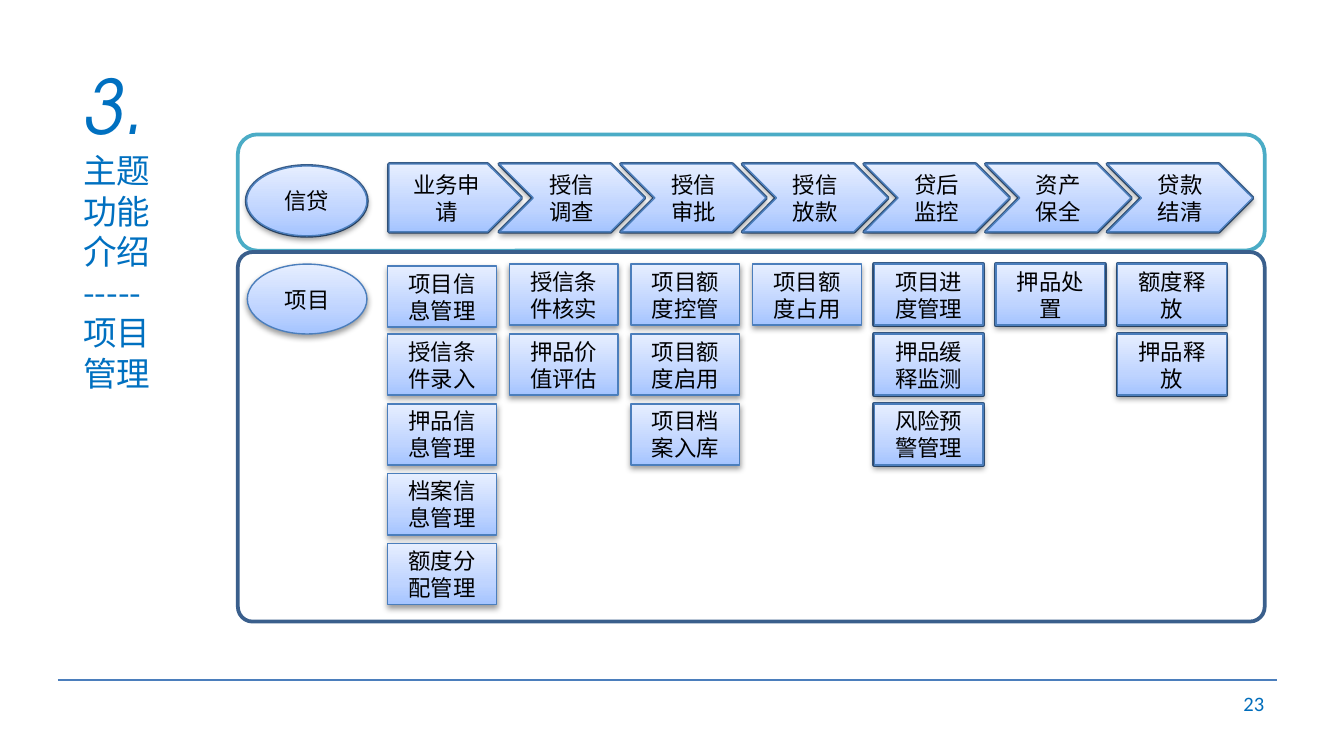
"""Build the credit process and project management overview slide."""
from dataclasses import dataclass
from typing import Optional

from lxml.etree import SubElement
from pptx import Presentation
from pptx.dml.color import RGBColor as RGB
from pptx.enum.shapes import MSO_CONNECTOR as CONN, MSO_SHAPE as SHAPE
from pptx.enum.text import MSO_ANCHOR as ANCHOR, PP_ALIGN as ALIGN
from pptx.oxml import parse_xml
from pptx.oxml.ns import nsdecls, qn
from pptx.util import Pt

PX = 4572


@dataclass(frozen=True)
class Theme:
    cjk: str = "Noto Sans CJK SC"
    number: str = "TeX Gyre Adventor"
    latin: str = "Calibri"
    title: str = "0070C0"
    page: str = "006DBB"
    ink: str = "000000"
    white: str = "FFFFFF"
    teal: str = "4BACC6"
    navy: str = "3A5F8C"
    blue: str = "4F81BD"
    edge: str = "4B7EBC"
    gradient: tuple = ((0, "A4C4FF"), (35, "BFD4FF"), (100, "E6EEFF"))
    number_pt: float = 40
    title_pt: float = 18
    label_pt: float = 12
    page_pt: float = 11
    thick: float = 2
    thin: float = 0.75


@dataclass(frozen=True)
class Box:
    x: int
    y: int
    w: int
    h: int

    def emu(self) -> tuple:
        return tuple(v * PX for v in (self.x, self.y, self.w, self.h))


@dataclass(frozen=True)
class Node:
    kind: SHAPE
    box: Box
    label: str
    rimmed: bool = True


T = Theme()
STEP_X, STEP_Y = 181, 104
STAGES = ["业务申请", "授信调查", "授信审批", "授信放款", "贷后监控", "资产保全", "贷款结清"]
TASKS = [
    ["项目信息管理", "授信条件录入", "押品信息管理", "档案信息管理", "额度分配管理"],
    ["授信条件核实", "押品价值评估"],
    ["项目额度控管", "项目额度启用", "项目档案入库"],
    ["项目额度占用"],
    ["项目进度管理", "押品缓释监测", "风险预警管理"],
    ["押品处置"],
    ["额度释放", "押品释放"],
]
FIRST_RIMMED = 4


def add_run(p, text: str, font: str, size: float, color: str, italic: bool = False) -> None:
    r = p.add_run()
    r.text = text
    r.font.name, r.font.size, r.font.italic = font, Pt(size), italic
    r.font.color.rgb = RGB.from_string(color)
    SubElement(r._r.get_or_add_rPr(), qn("a:ea")).set("typeface", font)


def add_shape(s, kind: SHAPE, box: Box, fill: Optional[str], line: str, width: float):
    sp = s.shapes.add_shape(kind, *box.emu())
    sp.shadow.inherit = False
    if fill:
        sp.fill.solid()
        sp.fill.fore_color.rgb = RGB.from_string(fill)
    else:
        sp.fill.background()
    sp.line.color.rgb = RGB.from_string(line)
    sp.line.width = Pt(width)
    return sp


def add_gloss(sp) -> None:
    spPr = sp._element.spPr
    stops = "".join(
        f'<a:gs pos="{pos * 1000}"><a:srgbClr val="{c}"/></a:gs>' for pos, c in T.gradient)
    spPr.replace(spPr.find(qn("a:noFill")), parse_xml(
        f'<a:gradFill {nsdecls("a")} rotWithShape="1"><a:gsLst>{stops}</a:gsLst>'
        '<a:lin ang="16200000" scaled="0"/></a:gradFill>'))
    spPr.find(qn("a:effectLst")).append(parse_xml(
        f'<a:outerShdw {nsdecls("a")} blurRad="40000" dist="20000" dir="5400000" '
        f'rotWithShape="0"><a:srgbClr val="{T.ink}"><a:alpha val="38000"/>'
        '</a:srgbClr></a:outerShdw>'))


def add_node(s, node: Node) -> None:
    sp = add_shape(s, node.kind, node.box, None, T.edge, T.thin)
    add_gloss(sp)
    tf = sp.text_frame
    tf.word_wrap, tf.vertical_anchor = True, ANCHOR.MIDDLE
    p = tf.paragraphs[0]
    p.alignment, p.line_spacing = ALIGN.CENTER, Pt(14.5)
    add_run(p, node.label, T.cjk, T.label_pt, T.ink)


def add_title(s, box: Box, number: str, lines: list[str]) -> None:
    tf = s.shapes.add_textbox(*box.emu()).text_frame
    tf.word_wrap = True
    p = tf.paragraphs[0]
    p.line_spacing = Pt(48)
    add_run(p, number, T.number, T.number_pt, T.title, True)
    p = tf.add_paragraph()
    p.line_spacing = Pt(21.7)
    for i, text in enumerate(lines):
        if i:
            p.add_line_break()
        add_run(p, text, T.cjk, T.title_pt, T.title)


def add_footer(s, page: str) -> None:
    rule = s.shapes.add_connector(CONN.STRAIGHT, 86 * PX, 1012 * PX, 1900 * PX, 1012 * PX)
    rule.line.color.rgb = RGB.from_string(T.edge)
    rule.line.width = Pt(T.thin)
    SubElement(rule._element.spPr, qn("a:effectLst"))
    tf = s.shapes.add_textbox(*Box(1435, 1016, 466, 60).emu()).text_frame
    tf.word_wrap, tf.vertical_anchor = True, ANCHOR.MIDDLE
    p = tf.paragraphs[0]
    p.alignment = ALIGN.RIGHT
    add_run(p, page, T.latin, T.page_pt, T.page)


def build_nodes() -> list[Node]:
    nodes = [Node(SHAPE.OVAL, Box(367, 247, 179, 104), "信贷"),
             Node(SHAPE.OVAL, Box(368, 393, 178, 104), "项目", False),
             Node(SHAPE.PENTAGON, Box(579, 244, 197, 101), STAGES[0])]
    for i, label in enumerate(STAGES[1:]):
        nodes.append(Node(SHAPE.CHEVRON, Box(743 + i * STEP_X, 244, 216, 101), label))
    for i, column in enumerate(TASKS):
        for j, label in enumerate(column):
            top = 396 if i == j == 0 else 393 + j * STEP_Y
            box = Box(577 + i * STEP_X, top, 162, 91)
            nodes.append(Node(SHAPE.RECTANGLE, box, label, i >= FIRST_RIMMED))
    return nodes


def main() -> None:
    prs = Presentation()
    prs.slide_width, prs.slide_height = 2000 * PX, 1125 * PX
    s = prs.slides.add_slide(prs.slide_layouts[6])
    add_footer(s, "23")
    add_title(s, Box(104, 80, 198, 440), "3.", ["主题", "功能", "介绍", "-----", "项目", "管理"])
    nodes = build_nodes()
    add_shape(s, SHAPE.ROUNDED_RECTANGLE, Box(354, 200, 1528, 173), T.white, T.teal, T.thick)
    for node in nodes:
        if node.rimmed:
            add_shape(s, node.kind, node.box, T.blue, T.navy, T.thick)
    panel = add_shape(s, SHAPE.ROUNDED_RECTANGLE, Box(354, 375, 1528, 550), None, T.navy, T.thick)
    panel.adjustments[0] = 0.04
    for node in nodes:
        add_node(s, node)
    prs.save("out.pptx")


if __name__ == "__main__":
    main()
